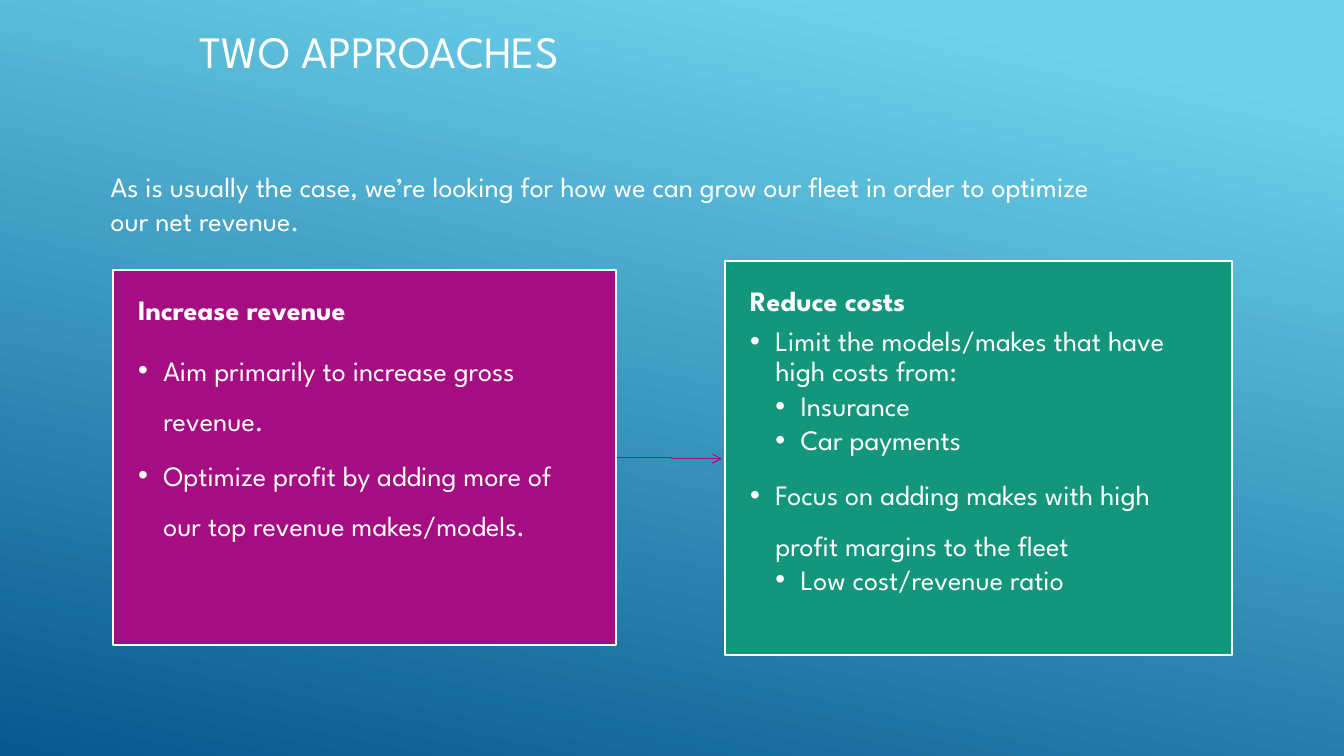
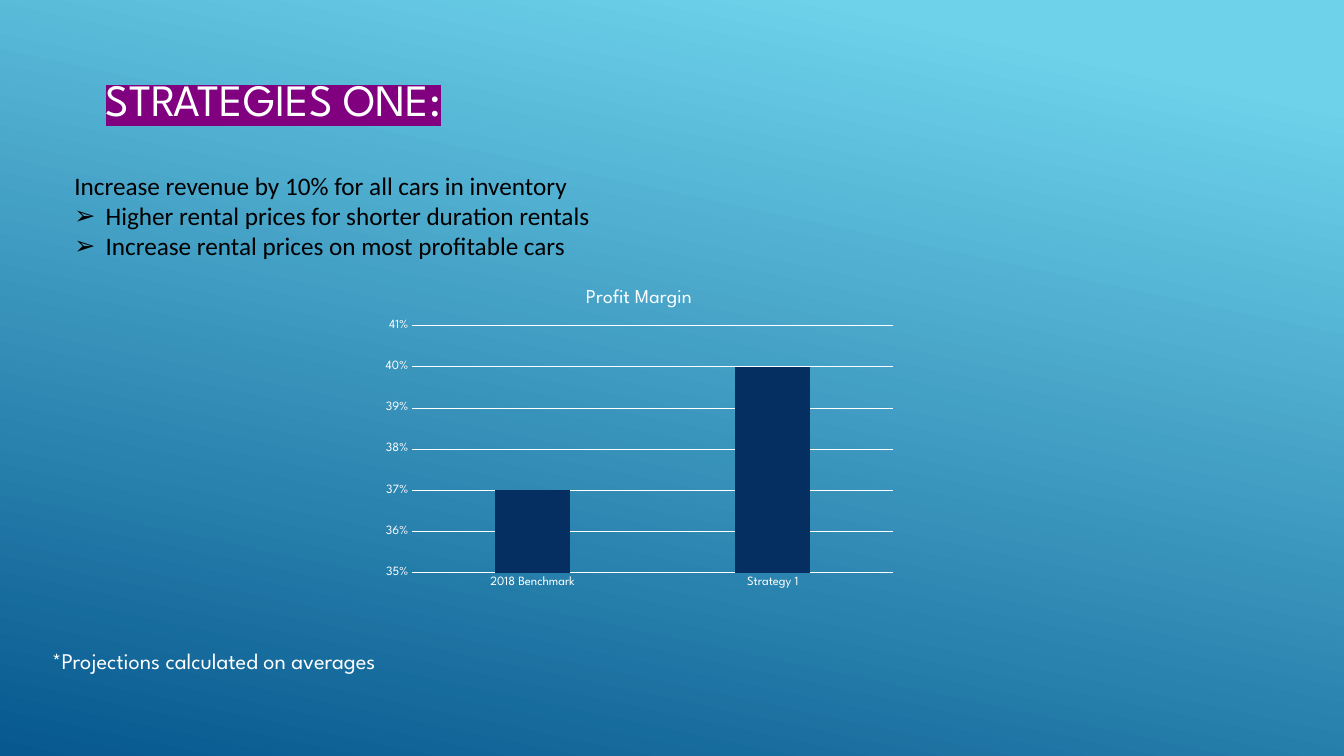
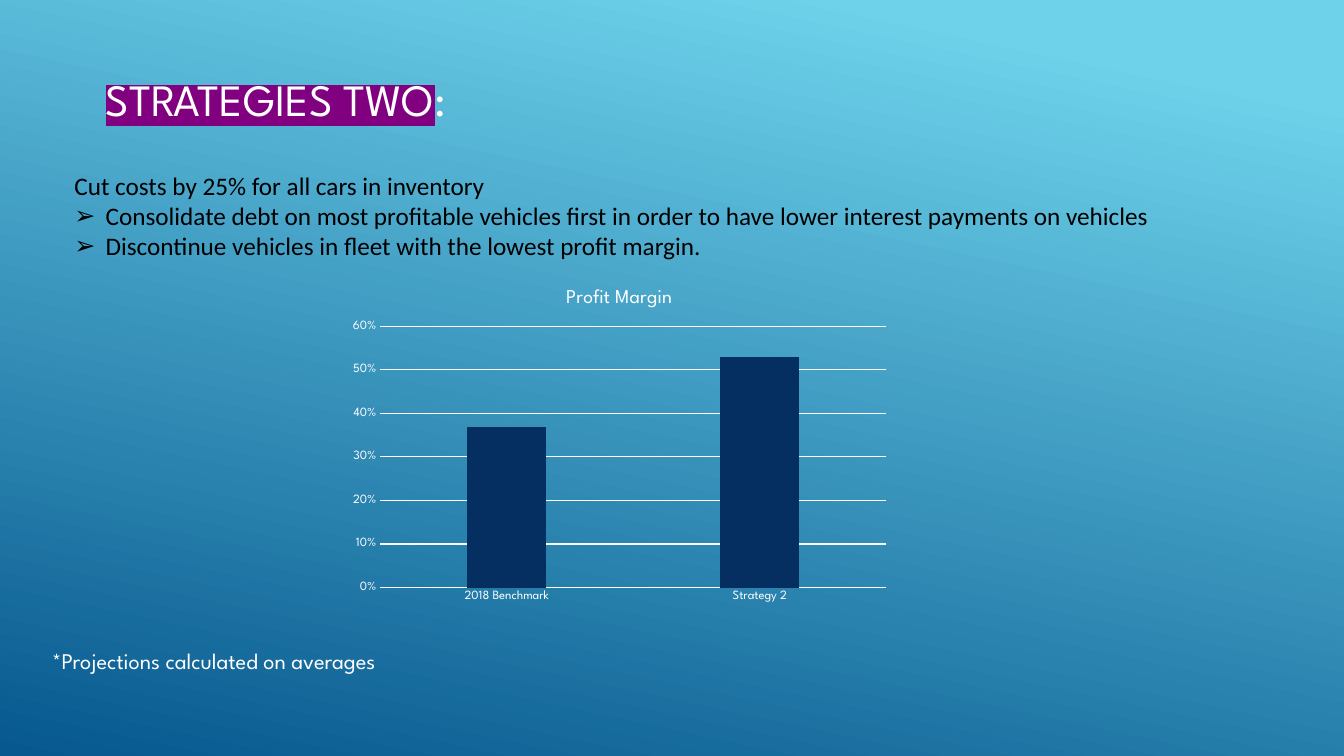
from dataclasses import dataclass

from lxml import etree
from pptx import Presentation
from pptx.chart.data import CategoryChartData
from pptx.dml.color import RGBColor
from pptx.enum.chart import XL_CHART_TYPE, XL_TICK_MARK
from pptx.enum.shapes import MSO_SHAPE
from pptx.enum.text import MSO_ANCHOR, PP_ALIGN
from pptx.oxml.ns import qn
from pptx.util import Inches, Pt

COLUMN = XL_CHART_TYPE.COLUMN_CLUSTERED
NO_TICK = XL_TICK_MARK.NONE
RECT = MSO_SHAPE.RECTANGLE
TOP, MIDDLE = MSO_ANCHOR.TOP, MSO_ANCHOR.MIDDLE
LEFT, CENTER = PP_ALIGN.LEFT, PP_ALIGN.CENTER

WIDE, HIGH = Inches(13.33), Inches(7.5)
COLS = ROWS = 100


@dataclass(frozen=True)
class Theme:
    sky: str = "6ED2EB"
    deep: str = "06588E"
    white: str = "FFFFFF"
    black: str = "000000"
    plum: str = "A50E82"
    green: str = "14967C"
    navy: str = "052F61"
    mark: str = "800080"
    main: str = "League Spartan"
    plain: str = "Calibri"
    title: int = 32
    body: int = 20
    points: int = 18
    note: int = 16
    chart: int = 14
    label: int = 10
    axis: int = 9


@dataclass(frozen=True)
class Line:
    text: str
    level: int = 0
    bold: bool = False
    lead: float = 1
    before: float = 0
    after: float = 0
    bullet: str = ""
    indent: float = 0.25


THEME = Theme()


def rgb(code):
    return RGBColor.from_string(code)


def across(cols):
    return round(WIDE * cols / COLS)


def down(rows):
    return round(HIGH * rows / ROWS)


def place(box):
    left, top, width, height = box
    return across(left), down(top), across(width), down(height)


def style(font, size, color=THEME.white, face=THEME.main, bold=False):
    font.size, font.name, font.bold = Pt(size), face, bold
    font.color.rgb = rgb(color)


def stroke(line, color, width):
    line.color.rgb = rgb(color)
    line.width = Pt(width)


def hang(para, line):
    props = para._p.get_or_add_pPr()
    props.set("marL", str(Inches(line.indent * line.level)))
    props.set("indent", str(-Inches(line.indent)))
    etree.SubElement(props, qn("a:buFont")).set("typeface", "Arial")
    etree.SubElement(props, qn("a:buChar")).set("char", line.bullet)


def write(frame, lines, size, color=THEME.white, face=THEME.main,
          anchor=TOP, align=LEFT):
    frame.word_wrap = True
    frame.vertical_anchor = anchor
    frame.text = "\n".join(line.text for line in lines)
    for para, line in zip(frame.paragraphs, lines):
        para.alignment = align
        para.line_spacing = line.lead
        para.space_before, para.space_after = Pt(line.before), Pt(line.after)
        if line.bullet:
            hang(para, line)
        for run in para.runs:
            style(run.font, size, color, face, line.bold)


def add_text(slide, box, lines, size, **look):
    frame = slide.shapes.add_textbox(*place(box)).text_frame
    write(frame, lines, size, **look)
    return frame


def shade(run):
    fill = run._r.get_or_add_rPr().find(qn("a:solidFill"))
    mark = etree.Element(qn("a:highlight"))
    etree.SubElement(mark, qn("a:srgbClr")).set("val", THEME.mark)
    fill.addnext(mark)


def add_panel(slide, box, color, lines):
    panel = slide.shapes.add_shape(RECT, *place(box))
    panel.shadow.inherit = False
    panel.fill.solid()
    panel.fill.fore_color.rgb = rgb(color)
    stroke(panel.line, THEME.white, 1.25)
    frame = panel.text_frame
    frame.margin_left = frame.margin_right = Inches(0.25)
    frame.margin_top = frame.margin_bottom = Inches(0.26)
    write(frame, lines, THEME.body)


def add_link(slide, points):
    start, *rest = [(across(x), down(y)) for x, y in points]
    build = slide.shapes.build_freeform(*start)
    build.add_line_segments(rest, close=False)
    link = build.convert_to_shape()
    link.shadow.inherit = False
    link.fill.background()
    stroke(link.line, THEME.plum, 0.75)
    etree.SubElement(link.line._get_or_add_ln(), qn("a:tailEnd")).set("type", "arrow")


def add_chart(slide, box, names, values, scale):
    data = CategoryChartData(number_format="0%")
    data.categories = names
    data.add_series("Profit Margin", values)
    chart = slide.shapes.add_chart(COLUMN, *place(box), data).chart
    style(chart.font, THEME.label)
    chart.has_legend = False
    chart.has_title = True
    title = chart.chart_title.text_frame
    title.text = "Profit Margin"
    style(title.paragraphs[0].runs[0].font, THEME.chart)

    plot = chart.plots[0]
    plot.gap_width, plot.overlap = 219, -27
    plot.vary_by_categories = False
    bars = plot.series[0].format.fill
    bars.solid()
    bars.fore_color.rgb = rgb(THEME.navy)

    base, side = chart.category_axis, chart.value_axis
    for axis in (base, side):
        axis.major_tick_mark = axis.minor_tick_mark = NO_TICK
        style(axis.tick_labels.font, THEME.axis)
    stroke(base.format.line, THEME.white, 0.75)
    side.format.line.fill.background()
    stroke(side.major_gridlines.format.line, THEME.white, 0.75)
    side.minimum_scale, side.maximum_scale, side.major_unit = scale
    side.tick_labels.number_format = "0%"
    side.tick_labels.number_format_is_linked = False


def set_ground(master):
    fill = master.background.fill
    fill.gradient()
    fill.gradient_angle = 258
    stops = zip(fill.gradient_stops, (0.1, 1), (THEME.sky, THEME.deep))
    for stop, place_at, color in stops:
        stop.position = place_at
        stop.color.rgb = rgb(color)


def add_slide(deck):
    return deck.slides.add_slide(deck.slide_layouts[6])


def head(text):
    return Line(text, bold=True, lead=0.9, after=7)


def item(text, level=1, lead=0.9):
    return Line(text, level, lead=lead, after=3, bullet="•")


def show_paths(deck):
    slide = add_slide(deck)
    add_text(slide, (10.58, 0.27, 35.33, 12.8), [Line("TWO APPROACHES")],
             THEME.title, anchor=MIDDLE, align=CENTER)
    intro = ("As is usually the case, we’re looking for how we can grow our "
             "fleet in order to optimize our net revenue.")
    add_text(slide, (7.5, 19.07, 75.1, 15.6), [Line(intro, before=4, after=6)],
             THEME.body, anchor=MIDDLE)
    add_link(slide, [(45.84, 60.53), (49.96, 60.53), (49.96, 60.67), (53.71, 60.67)])
    add_panel(slide, (8.4, 35.73, 37.43, 49.6), THEME.plum, [
        head("Increase revenue"),
        item("Aim primarily to increase gross revenue.", lead=1.5),
        item("Optimize profit by adding more of our top revenue makes/models.",
             lead=1.5),
    ])
    add_panel(slide, (53.94, 34.53, 37.73, 52.13), THEME.green, [
        head("Reduce costs"),
        item("Limit the models/makes that have high costs from:"),
        item("Insurance", 2),
        item("Car payments", 2),
        item("Focus on adding makes with high profit margins to the fleet",
             lead=1.5),
        item("Low cost/revenue ratio", 2),
    ])


def show_plan(deck, title, tail, goal, steps, rows, box, names, values, scale):
    slide = add_slide(deck)
    frame = add_text(slide, (7.13, 4.13, 70.59, 17.73), [Line(title)],
                     THEME.title, anchor=MIDDLE)
    para = frame.paragraphs[0]
    shade(para.runs[0])
    if tail:
        run = para.add_run()
        run.text = tail
        style(run.font, THEME.title)
    add_text(slide, (3.15, 84.13, 32.93, 6.4),
             [Line("*Projections calculated on averages", before=3.2, after=6)],
             THEME.note, anchor=MIDDLE)
    lines = [Line(goal)] + [Line(step, 1, bullet="➢", indent=0.31) for step in steps]
    add_text(slide, (4.8, 21.87, 90.47, rows), lines, THEME.points,
             color=THEME.black, face=THEME.plain)
    add_chart(slide, box, names, values, scale)


def main():
    deck = Presentation()
    deck.slide_width, deck.slide_height = WIDE, HIGH
    set_ground(deck.slide_master)
    show_paths(deck)
    show_plan(
        deck, "STRATEGIES ONE:", "",
        "Increase revenue by 10% for all cars in inventory",
        ["Higher rental prices for shorter duration rentals",
         "Increase rental prices on most profitable cars"],
        17.47, (27.91, 36, 39.31, 42.67),
        ["2018 Benchmark", "Strategy 1"], [0.37, 0.4], (0.35, 0.41, 0.01))
    show_plan(
        deck, "STRATEGIES TWO", ":",
        "Cut costs by 25% for all cars in inventory",
        ["Consolidate debt on most profitable vehicles first in order to have "
         "lower interest payments on vehicles",
         "Discontinue vehicles in fleet with the lowest profit margin."],
        13.47, (25.43, 36, 41.34, 44.67),
        ["2018 Benchmark", "Strategy 2"], [0.37, 0.53], (0, 0.6, 0.1))
    deck.save("out.pptx")


main()
